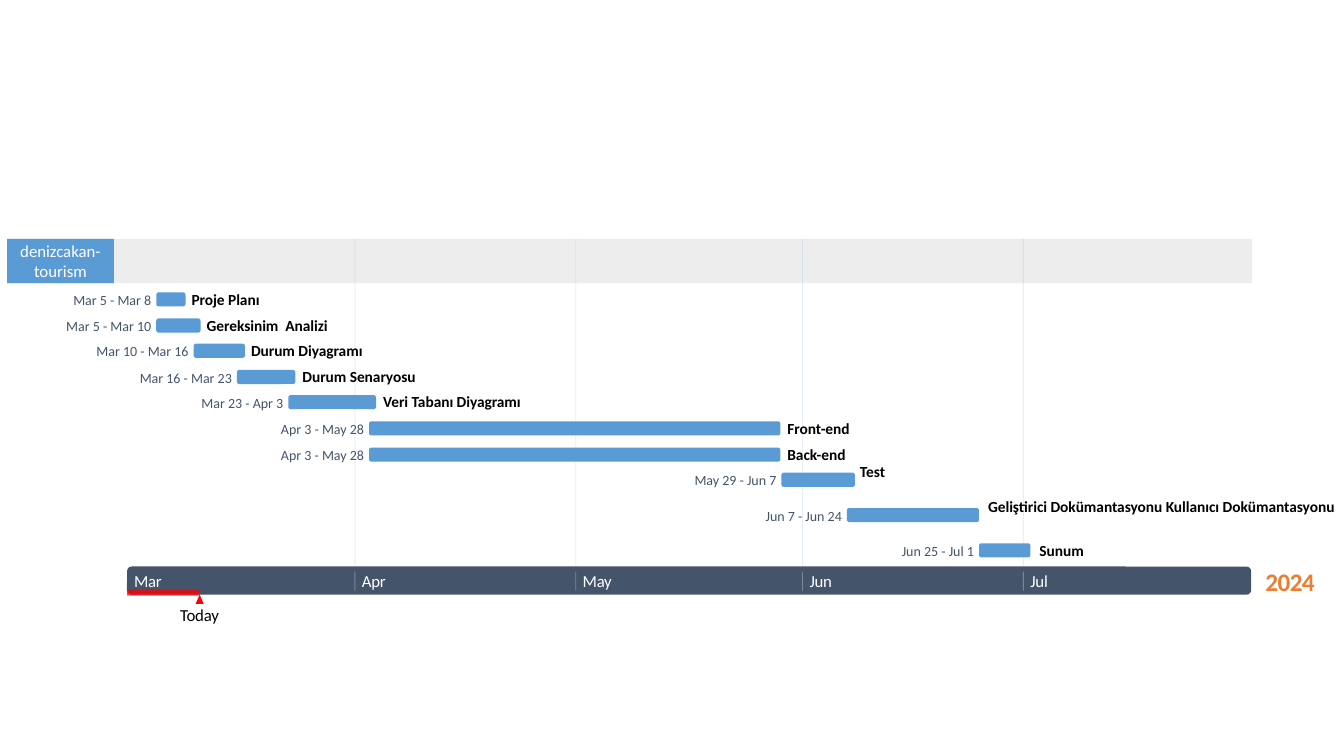
"""Build a one-slide Gantt chart of a 2024 software project."""
from itertools import accumulate

from lxml.etree import SubElement
from pptx import Presentation
from pptx.dml.color import RGBColor
from pptx.enum.shapes import MSO_CONNECTOR, MSO_SHAPE
from pptx.enum.text import MSO_ANCHOR as Anchor, PP_ALIGN as Align
from pptx.oxml.ns import qn
from pptx.util import Emu, Pt

PX = 9144
FONT = "Calibri"
WHITE = RGBColor(0xFF, 0xFF, 0xFF)
BLACK = RGBColor(0x00, 0x00, 0x00)
BLUE = RGBColor(0x5B, 0x9B, 0xD5)
SLATE = RGBColor(0x44, 0x54, 0x6A)
GRAY = RGBColor(0xA5, 0xA5, 0xA5)
RED = RGBColor(0xFF, 0x00, 0x00)
ORANGE = RGBColor(0xED, 0x7D, 0x31)

MONTHS = {"Mar": 31, "Apr": 30, "May": 31, "Jun": 30, "Jul": 31}
MONTH_STARTS = dict(zip(MONTHS, accumulate(MONTHS.values(), initial=0)))

AXIS_LEFT, AXIS_TOP, AXIS_WIDTH, AXIS_HEIGHT = 126, 562, 1115, 28
BAND_LEFT, BAND_TOP, BAND_WIDTH, BAND_HEIGHT = 7, 237, 1235, 44
PROJECT_WIDTH = 106
DAY = AXIS_WIDTH / sum(MONTHS.values())
FIRST_ROW, ROW_STEP, BAR_HEIGHT = 290, 25.6, 14
TODAY = 198

REGULAR_TASKS = [
    ("Mar 5", "Mar 8", "Proje Planı"),
    ("Mar 5", "Mar 10", "Gereksinim  Analizi"),
    ("Mar 10", "Mar 16", "Durum Diyagramı"),
    ("Mar 16", "Mar 23", "Durum Senaryosu"),
    ("Mar 23", "Apr 3", "Veri Tabanı Diyagramı"),
    ("Apr 3", "May 28", "Front-end"),
    ("Apr 3", "May 28", "Back-end"),
]


def px(length):
    """Turn a length in px into EMU."""
    return Emu(round(length) * PX)


def date_left(date):
    """Return the x position at which a date such as 'Mar 5' begins."""
    month, day = date.split()
    return AXIS_LEFT + (MONTH_STARTS[month] + int(day) - 1) * DAY


def set_opacity(shape, percent):
    """Make the only colour of a shape or connector translucent."""
    color = shape.element.spPr.find(".//" + qn("a:srgbClr"))
    SubElement(color, qn("a:alpha")).set("val", str(percent * 1000))


def add_block(slide, kind, left, top, width, height, color, opacity=100):
    """Add a filled preset shape without outline."""
    shape = slide.shapes.add_shape(kind, px(left), px(top), px(width), px(height))
    shape.shadow.inherit = False
    shape.fill.solid()
    shape.fill.fore_color.rgb = color
    shape.line.fill.background()
    if opacity < 100:
        set_opacity(shape, opacity)


def add_vertical(slide, x, top, bottom, color, opacity):
    """Add a thin translucent vertical line."""
    line = slide.shapes.add_connector(
        MSO_CONNECTOR.STRAIGHT, px(x), px(top), px(x), px(bottom))
    line.line.color.rgb = color
    line.line.width = Pt(0.6)
    set_opacity(line, opacity)
    SubElement(line.element.spPr, qn("a:effectLst"))


def add_text(slide, text, left, top, width, height, *, size=12, color=BLACK,
             bold=False, align=Align.LEFT, spacing=0, wrap=False):
    """Add a text box without margins, centred vertically."""
    box = slide.shapes.add_textbox(px(left), px(top), px(width), px(height))
    frame = box.text_frame
    frame.margin_left = frame.margin_right = 0
    frame.margin_top = frame.margin_bottom = 0
    frame.vertical_anchor = Anchor.MIDDLE
    frame.word_wrap = wrap
    paragraph = frame.paragraphs[0]
    paragraph.alignment = align
    run = paragraph.add_run()
    run.text = text
    run.font.name = FONT
    run.font.size = Pt(size)
    run.font.bold = bold
    run.font.color.rgb = color
    if spacing:
        run.font._element.set("spc", str(spacing))


def add_task(slide, start, end, name, top, *, gap=6, lift=0, name_width=140):
    """Add a task bar with its dates on the left and its name on the right."""
    left = date_left(start)
    right = date_left(end) + DAY
    add_block(slide, MSO_SHAPE.ROUNDED_RECTANGLE, left, top,
              right - left, BAR_HEIGHT, BLUE)
    add_text(slide, f"{start} - {end}", left - 98, top - 1, 93, 17,
             size=10, color=SLATE, align=Align.RIGHT, wrap=True)
    add_text(slide, name, right + gap, top - 3 - lift, name_width, 19,
             size=11, bold=True, spacing=-5, wrap=True)


def add_background(slide):
    """Add the project band, the time axis and the month grid lines."""
    add_block(slide, MSO_SHAPE.RECTANGLE, BAND_LEFT, BAND_TOP,
              BAND_WIDTH, BAND_HEIGHT, GRAY, opacity=20)
    add_block(slide, MSO_SHAPE.ROUNDED_RECTANGLE, AXIS_LEFT, AXIS_TOP,
              AXIS_WIDTH, AXIS_HEIGHT, SLATE)
    add_block(slide, MSO_SHAPE.RECTANGLE, BAND_LEFT, BAND_TOP,
              PROJECT_WIDTH, BAND_HEIGHT, BLUE)
    add_text(slide, "denizcakan-tourism", BAND_LEFT, BAND_TOP + 1,
             PROJECT_WIDTH, 41, color=WHITE, align=Align.CENTER, wrap=True)
    add_text(slide, "2024", 1250, 561, 59, 31, size=18, color=ORANGE,
             bold=True, align=Align.CENTER, spacing=-40)
    for month in MONTHS:
        left = date_left(f"{month} 1")
        if left > AXIS_LEFT:
            add_vertical(slide, left, BAND_TOP, AXIS_TOP, BLUE, 15)
            add_vertical(slide, left, AXIS_TOP + 5, AXIS_TOP + 24, WHITE, 30)
        add_text(slide, month, left + 7, AXIS_TOP + 4, 60, 20,
                 color=WHITE, spacing=-20, wrap=True)


def add_today(slide):
    """Add the elapsed time bar and the marker of the current day."""
    add_block(slide, MSO_SHAPE.ROUNDED_RECTANGLE, AXIS_LEFT, 585,
              TODAY - AXIS_LEFT, 6, RED, opacity=75)
    add_block(slide, MSO_SHAPE.ISOSCELES_TRIANGLE, TODAY - 4, 590, 8, 9, RED)
    add_text(slide, "Today", TODAY - 30, 600, 60, 20,
             align=Align.CENTER, spacing=-10)


def main():
    """Build the slide and save it."""
    presentation = Presentation()
    presentation.slide_width = px(1333)
    presentation.slide_height = px(750)
    slide = presentation.slides.add_slide(presentation.slide_layouts[6])
    add_background(slide)
    add_today(slide)
    for row, (start, end, name) in enumerate(REGULAR_TASKS):
        add_task(slide, start, end, name, FIRST_ROW + row * ROW_STEP)
    add_task(slide, "May 29", "Jun 7", "Test", 469, lift=8)
    add_task(slide, "Jun 7", "Jun 24",
             "Geliştirici Dokümantasyonu Kullanıcı Dokümantasyonu",
             504, gap=9, lift=8, name_width=352)
    add_task(slide, "Jun 25", "Jul 1", "Sunum", 539, gap=9)
    presentation.save("out.pptx")


if __name__ == "__main__":
    main()
